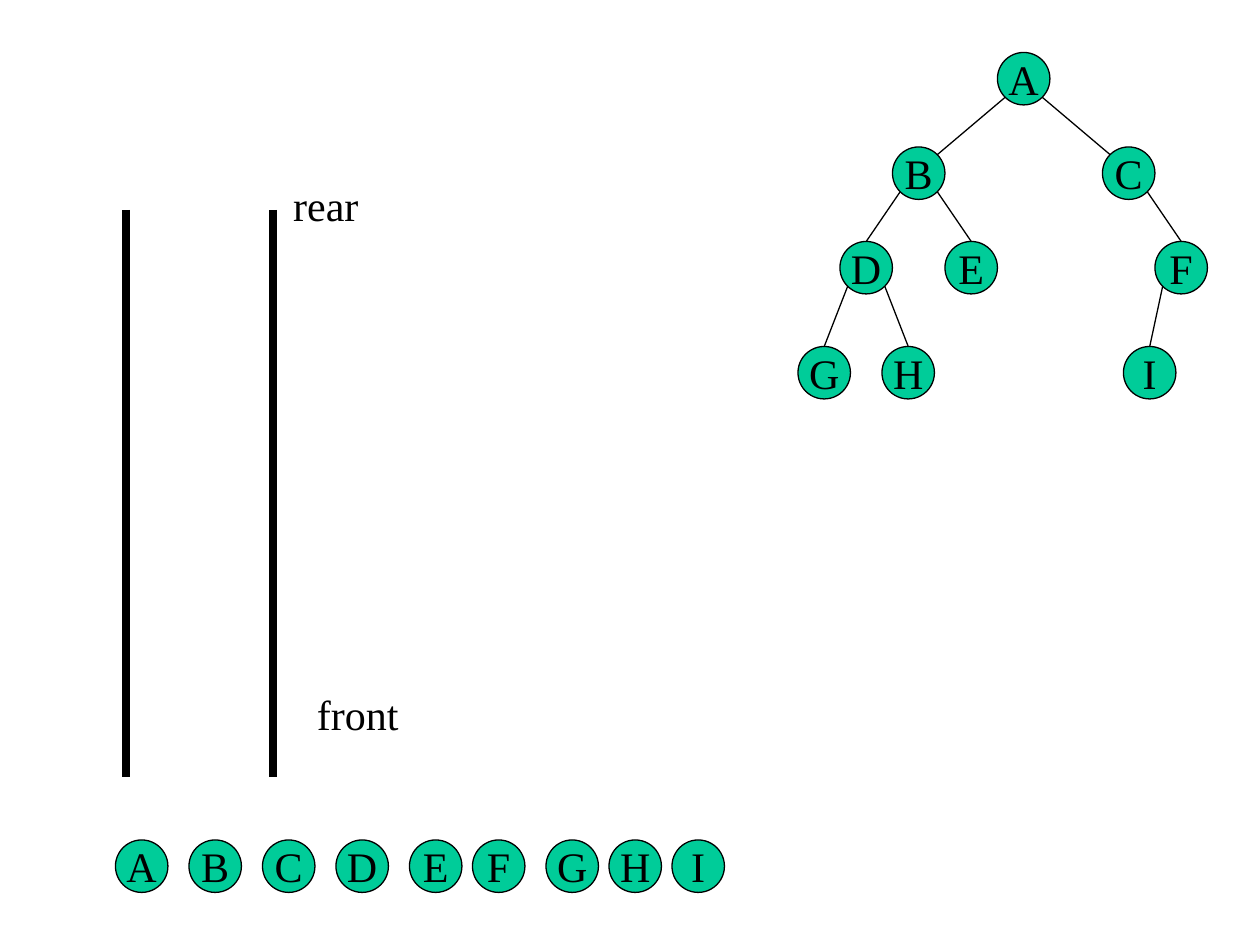
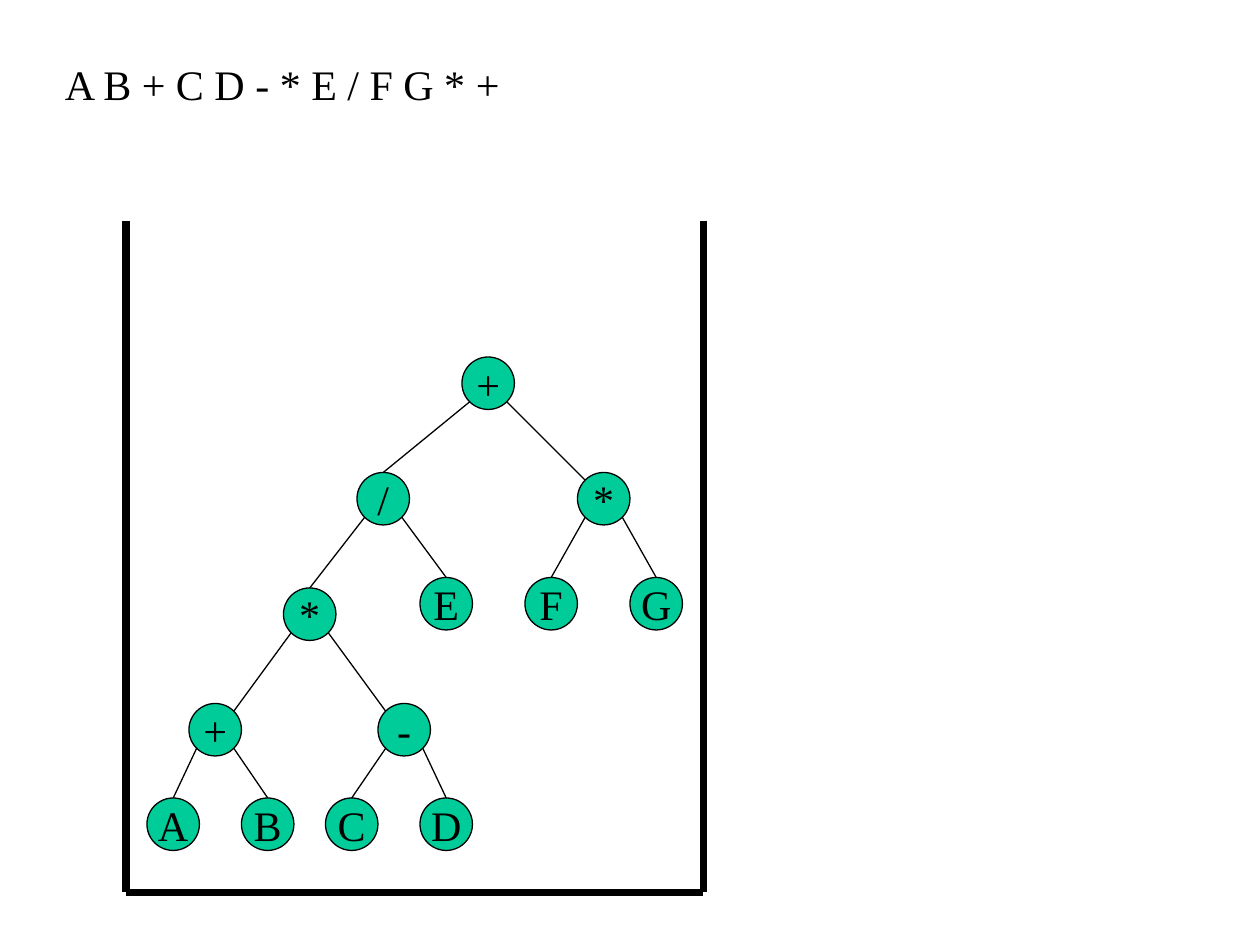
from dataclasses import dataclass
from math import sqrt

from lxml import etree
from pptx import Presentation
from pptx.dml.color import RGBColor
from pptx.enum.shapes import MSO_CONNECTOR, MSO_SHAPE
from pptx.enum.text import MSO_ANCHOR, MSO_AUTO_SIZE, PP_ALIGN
from pptx.oxml.ns import qn
from pptx.util import Cm, Pt

STRAIGHT = MSO_CONNECTOR.STRAIGHT
OVAL = MSO_SHAPE.OVAL
MIDDLE = MSO_ANCHOR.MIDDLE
GROW = MSO_AUTO_SIZE.SHAPE_TO_FIT_TEXT
LEFT, CENTER = PP_ALIGN.LEFT, PP_ALIGN.CENTER

BLACK = RGBColor(0x00, 0x00, 0x00)
GREEN = RGBColor(0x00, 0xCC, 0x99)
FONT = "Times New Roman"
TEXT_SIZE = Pt(24)
THIN, THICK = Pt(0.75), Pt(4.5)
BLANK_LAYOUT = 6

# Everything sits on a grid with twelve steps to 2.54 cm.
STEPS = 12
NODE_SIZE = 5
TEXT_HEIGHT = 6
CORNER = NODE_SIZE * (1 - sqrt(0.5)) / 2  # inset of a circle's diagonal point


@dataclass
class Node:
    label: str
    left: float
    top: float
    parent: str = ""
    joins_at_corner: bool = False


LETTER_TREE = {
    "A": Node("A", 95, 5),
    "B": Node("B", 85, 14, "A", True),
    "C": Node("C", 105, 14, "A", True),
    "D": Node("D", 80, 23, "B"),
    "E": Node("E", 90, 23, "B"),
    "F": Node("F", 110, 23, "C"),
    "G": Node("G", 76, 33, "D"),
    "H": Node("H", 84, 33, "D"),
    "I": Node("I", 107, 33, "F"),
}
QUEUE_LEFTS = (11, 18, 25, 32, 39, 45, 52, 58, 64)
QUEUE_TOP = 80

EXPRESSION_TREE = {
    "sum": Node("+", 44, 34),
    "quotient": Node("/", 34, 45, "sum"),
    "right product": Node("*", 55, 45, "sum", True),
    "left product": Node("*", 27, 56, "quotient"),
    "E": Node("E", 40, 55, "quotient"),
    "F": Node("F", 50, 55, "right product"),
    "G": Node("G", 60, 55, "right product"),
    "inner sum": Node("+", 18, 67, "left product", True),
    "difference": Node("-", 36, 67, "left product", True),
    "A": Node("A", 14, 76, "inner sum"),
    "B": Node("B", 23, 76, "inner sum"),
    "C": Node("C", 31, 76, "difference"),
    "D": Node("D", 40, 76, "difference"),
}


def grid(*steps):
    """Turn grid steps into lengths."""
    return [Cm(step * 2.54 / STEPS) for step in steps]


def write(box, text, alignment):
    frame = box.text_frame
    frame.word_wrap = False
    para = frame.paragraphs[0]
    para.alignment = alignment
    span = para.add_run()
    span.text = text
    span.font.name = FONT
    span.font.size = TEXT_SIZE
    span.font.color.rgb = BLACK


def add_label(page, text, left, top, width):
    box = page.shapes.add_textbox(*grid(left, top, width, TEXT_HEIGHT))
    write(box, text, LEFT)
    box.text_frame.auto_size = GROW


def add_line(page, start, end, weight):
    line = page.shapes.add_connector(STRAIGHT, *grid(*start, *end))
    line.line.color.rgb = BLACK
    line.line.width = weight
    etree.SubElement(line._element.spPr, qn("a:effectLst"))


def add_node(page, label, left, top):
    circle = page.shapes.add_shape(OVAL, *grid(left, top, NODE_SIZE, NODE_SIZE))
    circle.shadow.inherit = False
    circle.fill.solid()
    circle.fill.fore_color.rgb = GREEN
    circle.line.color.rgb = BLACK
    circle.line.width = THIN
    circle.text_frame.vertical_anchor = MIDDLE
    write(circle, label, CENTER)


def add_edge(page, parent, child):
    """Run from the parent's lower corner to the child's top or upper corner."""
    near, far = CORNER, NODE_SIZE - CORNER
    goes_left = child.left < parent.left
    start = (parent.left + (near if goes_left else far), parent.top + far)
    if child.joins_at_corner:
        end = (child.left + (far if goes_left else near), child.top + near)
    else:
        end = (child.left + NODE_SIZE / 2, child.top)
    add_line(page, start, end, THIN)


def add_tree(page, tree):
    for node in tree.values():
        add_node(page, node.label, node.left, node.top)
        if node.parent:
            add_edge(page, tree[node.parent], node)


def add_walls(page, lefts, top, bottom):
    for left in lefts:
        add_line(page, (left, top), (left, bottom), THICK)


def add_page(deck):
    return deck.slides.add_slide(deck.slide_layouts[BLANK_LAYOUT])


def build_queue_page(deck):
    page = add_page(deck)
    add_tree(page, LETTER_TREE)
    add_walls(page, (12, 26), 20, 74)
    add_label(page, "rear", 26.75, 16.5, 8.6)
    add_label(page, "front", 29, 65, 10.2)
    for letter, left in zip(LETTER_TREE, QUEUE_LEFTS):
        add_node(page, letter, left, QUEUE_TOP)


def build_stack_page(deck):
    page = add_page(deck)
    left, right, top, bottom = 12, 67, 21, 85
    add_walls(page, (left, right), top, bottom)
    add_line(page, (left, bottom), (right, bottom), THICK)
    add_label(page, "A B + C D - * E / F G * +", 5, 5, 44)
    add_tree(page, EXPRESSION_TREE)


def main():
    deck = Presentation()
    deck.slide_width, deck.slide_height = Cm(25.4), Cm(19.05)
    build_queue_page(deck)
    build_stack_page(deck)
    deck.save("out.pptx")


if __name__ == "__main__":
    main()
